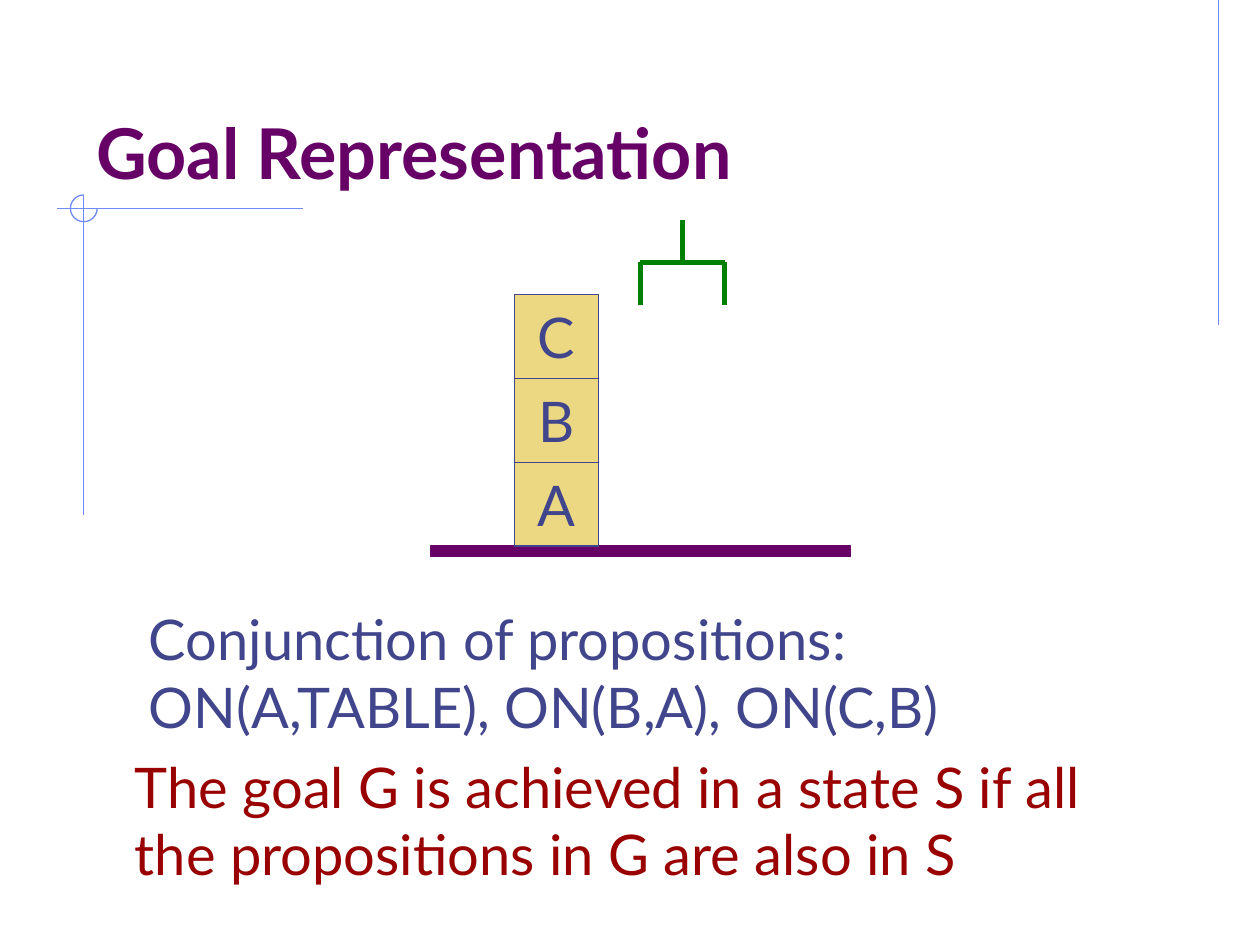
import pptx
import pptx.util
import pptx.dml.color
import pptx.enum.shapes
import pptx.enum.text
import pptx.oxml
from pptx.util import Cm

RGBColor = pptx.dml.color.RGBColor
PURPLE = RGBColor(0x66, 0x00, 0x66)
INDIGO = RGBColor(0x40, 0x45, 0x8C)
SAND = RGBColor(0xEC, 0xD8, 0x82)
GREEN = RGBColor(0x00, 0x80, 0x00)
RED = RGBColor(0x99, 0x00, 0x00)
PALE_BLUE = RGBColor(0x6F, 0x89, 0xF7)
SHAPE = pptx.enum.shapes.MSO_SHAPE
ALIGN = pptx.enum.text.PP_ALIGN
ANCHOR = pptx.enum.text.MSO_ANCHOR

prs = pptx.Presentation()
prs.slide_width, prs.slide_height = Cm(25.4), Cm(19.05)
s = prs.slides.add_slide(prs.slide_layouts[5])


def add_line(x1, y1, x2, y2, color, width):
    c = s.shapes.add_connector(pptx.enum.shapes.MSO_CONNECTOR.STRAIGHT,
                               Cm(x1), Cm(y1), Cm(x2), Cm(y2))
    c.line.color.rgb = color
    c.line.width = pptx.util.Pt(width)
    c._element.spPr.append(pptx.oxml.parse_xml(
        '<a:effectLst xmlns:a="http://schemas.openxmlformats.org/drawingml/2006/main"/>'))


def set_font(p, size, color, bold=False):
    p.font.name = "Lato"
    p.font.size = pptx.util.Pt(size)
    p.font.bold = bold
    p.font.color.rgb = color


# Corner decoration
for ends in [(24.56, 0, 24.56, 6.56), (6.1, 4.2, 1.15, 4.2), (1.69, 3.93, 1.69, 10.39)]:
    add_line(*ends, PALE_BLUE, 0.75)
arc = s.shapes.add_shape(SHAPE.ARC, Cm(1.42), Cm(3.93), Cm(0.54), Cm(0.54))
arc.adjustments[0] = 0
arc.adjustments[1] = 162  # 270 degrees, in units of 100000/60000 degree
arc.shadow.inherit = False
arc.fill.background()
arc.line.color.rgb = PALE_BLUE
arc.line.width = pptx.util.Pt(0.75)

# Title
title = s.shapes.title
title.left, title.top, title.width, title.height = Cm(1.69), Cm(0.85), Cm(21.59), Cm(3.18)
tf = title.text_frame
tf.text = "Goal Representation"
tf.vertical_anchor = ANCHOR.BOTTOM
tf.paragraphs[0].alignment = ALIGN.LEFT
set_font(tf.paragraphs[0], 40, PURPLE, True)

# Table with the stacked blocks, from the bottom up
BLOCK = 1.69
TABLE_TOP = 11.01
boxes = [("", 8.68, TABLE_TOP, 8.47, 0.21, PURPLE, PURPLE)]
for i, name in enumerate("ABC", 1):
    boxes.append((name, 10.37, TABLE_TOP - i * BLOCK, BLOCK, BLOCK, SAND, INDIGO))
for name, x, y, w, h, fill, line in boxes:
    sp = s.shapes.add_shape(SHAPE.RECTANGLE, Cm(x), Cm(y), Cm(w), Cm(h))
    sp.shadow.inherit = False
    sp.fill.solid()
    sp.fill.fore_color.rgb = fill
    sp.line.color.rgb = line
    sp.line.width = pptx.util.Pt(0.75)
    if name:
        tf = sp.text_frame
        tf.text = name
        tf.word_wrap = False
        tf.vertical_anchor = ANCHOR.MIDDLE
        tf.paragraphs[0].alignment = ALIGN.CENTER
        set_font(tf.paragraphs[0], 32, INDIGO)

# Robot gripper
HAND_X, HAND_Y, HALF = 13.76, 5.29, 0.85
left, right = HAND_X - HALF, HAND_X + HALF
add_line(left, HAND_Y, right, HAND_Y, GREEN, 3)
add_line(HAND_X, HAND_Y - HALF, HAND_X, HAND_Y, GREEN, 3)
for x in (left, right):
    add_line(x, HAND_Y, x, HAND_Y + HALF, GREEN, 3)

# Explanations; \v breaks a line within a paragraph
notes = [
    (2.75, 12.07, 16.79, INDIGO,
     "Conjunction of propositions:\nON(A,TABLE), ON(B,A), ON(C,B)"),
    (2.47, 15.04, 21.13, RED,
     "The goal G is achieved in a state S if all \vthe propositions in G are also in S"),
]
for x, y, w, color, text in notes:
    tf = s.shapes.add_textbox(Cm(x), Cm(y), Cm(w), Cm(2.97)).text_frame
    tf.text = text
    tf.word_wrap = False
    tf.auto_size = pptx.enum.text.MSO_AUTO_SIZE.SHAPE_TO_FIT_TEXT
    for p in tf.paragraphs:
        p.alignment = ALIGN.LEFT
        set_font(p, 32, color)

prs.save("out.pptx")
